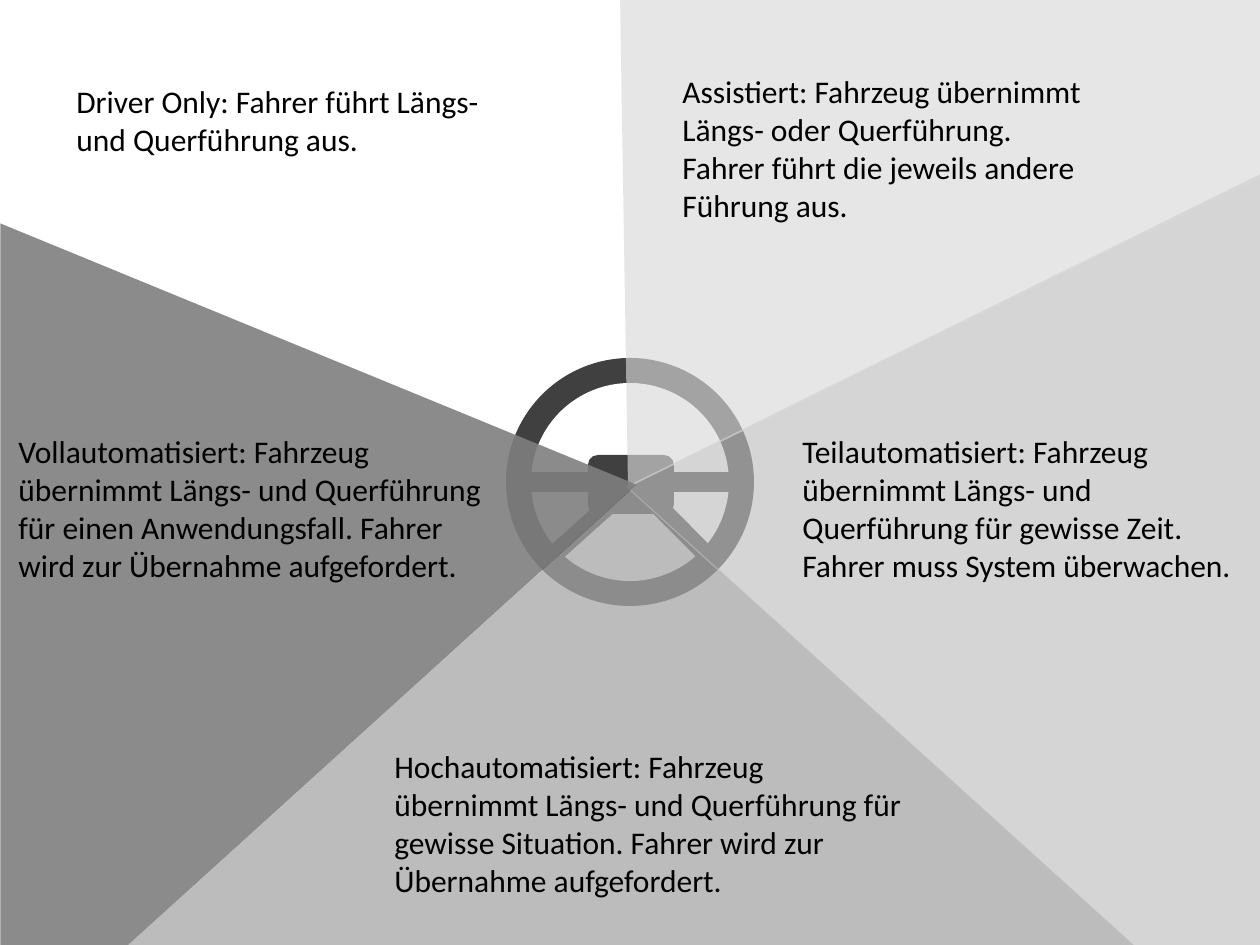
import dataclasses

import pptx
import pptx.dml.color
import pptx.enum.shapes
import pptx.enum.text
import pptx.oxml.ns
import pptx.util
from lxml import etree

SHAPE = pptx.enum.shapes.MSO_SHAPE
EMU_PER_PX = 914400 // 126


@dataclasses.dataclass(frozen=True)
class Theme:
    """Colours, font and type size of the slide."""
    wheel: str = "404040"
    paper: str = "FFFFFF"
    ink: str = "000000"
    high: str = "A6A6A6"
    partial: str = "BFBFBF"
    assisted: str = "D9D9D9"
    full: str = "7F7F7F"
    font: str = "Calibri"
    body: int = 18


def px(n):
    """Turn pixels into EMU."""
    return pptx.util.Emu(round(n * EMU_PER_PX))


def rgb(value):
    """Turn a hex string into a colour."""
    return pptx.dml.color.RGBColor.from_string(value)


def write_text(tf, text, *, font, size, color):
    """Write one formatted run into a text frame."""
    r = tf.paragraphs[0].add_run()
    r.text = text
    r.font.name = font
    r.font.size = pptx.util.Pt(size)
    r.font.color.rgb = rgb(color)


class SlideBuilder:
    """Adds styled elements to the current slide."""

    def __init__(self, slide, theme):
        """Keep the slide and its theme."""
        self.slide, self.theme = slide, theme

    def shape(self, kind, box, color, rotation=0, opacity=100, adjust=None):
        """Add a filled preset shape without an outline."""
        sp = self.slide.shapes.add_shape(kind, *map(px, box))
        sp.shadow.inherit = False
        sp.line.fill.background()
        sp.fill.solid()
        sp.fill.fore_color.rgb = rgb(color)
        sp.rotation = rotation
        if adjust is not None:
            sp.adjustments[0] = adjust
        if opacity < 100:
            clr = sp.fill._xPr.find(".//" + pptx.oxml.ns.qn("a:srgbClr"))
            etree.SubElement(clr, pptx.oxml.ns.qn("a:alpha"), val=str(opacity * 1000))
        return sp

    def sector(self, box, color, opacity, rotation=0, apex=0.5):
        """Add a translucent triangle for one automation level."""
        return self.shape(SHAPE.ISOSCELES_TRIANGLE, box, color, rotation, opacity, apex)

    def label(self, box, text):
        """Add a wrapping description."""
        sp = self.slide.shapes.add_textbox(*map(px, box))
        tf = sp.text_frame
        tf.word_wrap = True
        tf.auto_size = pptx.enum.text.MSO_AUTO_SIZE.SHAPE_TO_FIT_TEXT
        write_text(tf, text, font=self.theme.font, size=self.theme.body,
                   color=self.theme.ink)
        return sp


def draw_wheel(s):
    """Draw the steering wheel in the middle."""
    t = s.theme
    cx, cy = 630, 482
    for radius, color in ((124, t.wheel), (99, t.paper)):
        s.shape(SHAPE.OVAL, (cx - radius, cy - radius, 2 * radius, 2 * radius), color)
    s.shape(SHAPE.RECTANGLE, (520, 472, 218, 20), t.wheel)
    for left, top, angle in ((531, 514, 318.1), (616, 513, 45.2)):
        s.shape(SHAPE.RECTANGLE, (left, top, 116, 18), t.wheel, angle)
    s.shape(SHAPE.ROUNDED_RECTANGLE, (588, 455, 86, 59), t.wheel)


def draw_sectors(s):
    """Shade the levels that meet at the wheel."""
    t = s.theme
    s.sector((115, 490, 1032, 467), t.high, 75)
    s.sector((490, 291, 945, 673), t.partial, 65, 270, 0.649)
    s.sector((503, -98, 945, 673), t.assisted, 65, 196.3, 0.779)
    s.sector((-100, 324, 837, 636), t.full, 90, 90, 0.312)


LABELS = (
    ((64, 76, 475, 89),
     "Driver Only: Fahrer führt Längs- und Querführung aus."),
    ((670, 66, 443, 165),
     "Assistiert: Fahrzeug übernimmt Längs- oder Querführung. "
     "Fahrer führt die jeweils andere Führung aus."),
    ((790, 426, 470, 165),
     "Teilautomatisiert: Fahrzeug übernimmt Längs- und Querführung "
     "für gewisse Zeit. Fahrer muss System überwachen."),
    ((382, 741, 536, 165),
     "Hochautomatisiert: Fahrzeug übernimmt Längs- und Querführung "
     "für gewisse Situation. Fahrer wird zur Übernahme aufgefordert."),
    ((6, 426, 504, 165),
     "Vollautomatisiert: Fahrzeug übernimmt Längs- und Querführung "
     "für einen Anwendungsfall. Fahrer wird zur Übernahme aufgefordert."),
)


def main():
    """Build and save the slide."""
    prs = pptx.Presentation()
    prs.slide_width, prs.slide_height = px(1260), px(945)
    s = SlideBuilder(prs.slides.add_slide(prs.slide_layouts[6]), Theme())
    draw_wheel(s)
    draw_sectors(s)
    for box, text in LABELS:
        s.label(box, text)
    prs.save("out.pptx")


main()
